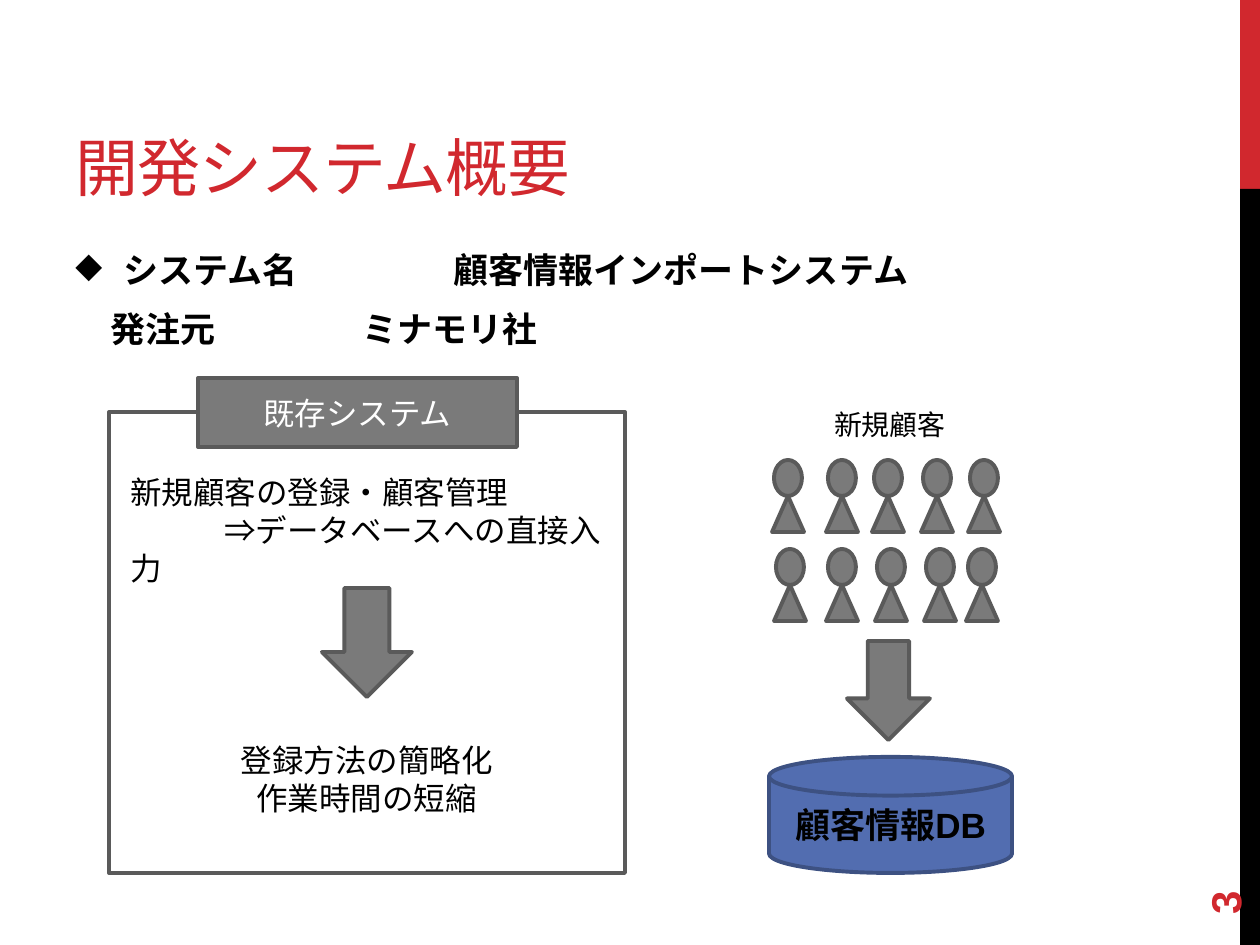
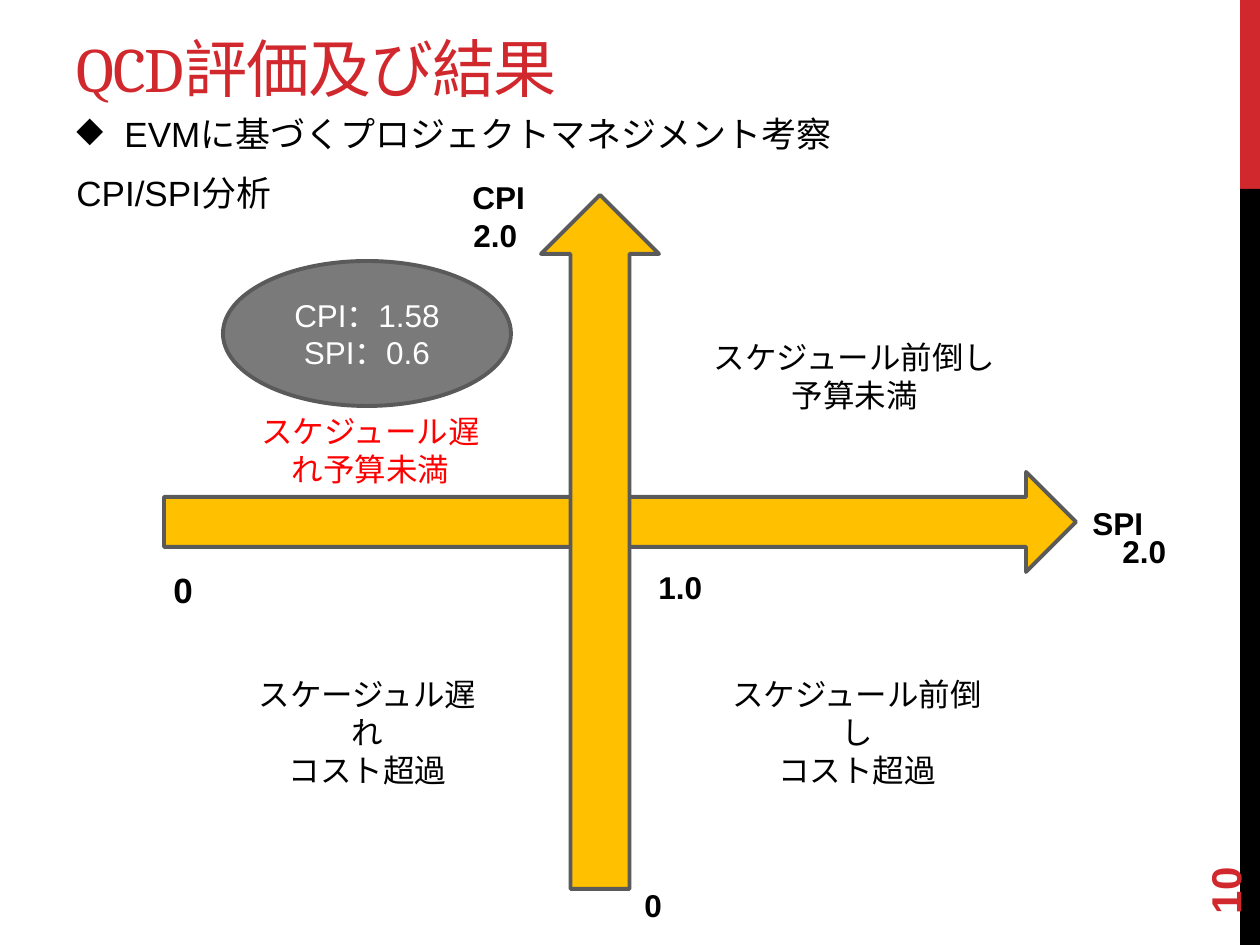
"""Builds two slides: the system overview and the QCD evaluation."""
from dataclasses import dataclass

from pptx import Presentation
from pptx.dml.color import RGBColor
from pptx.enum.shapes import MSO_SHAPE as Shape
from pptx.enum.text import MSO_ANCHOR as Anchor, MSO_AUTO_SIZE as AutoSize, PP_ALIGN as Align
from pptx.oxml.ns import qn
from pptx.util import Emu, Pt
from lxml.etree import SubElement


@dataclass(frozen=True)
class Theme:
    red: str = "D1282E"
    black: str = "000000"
    white: str = "FFFFFF"
    gray: str = "7A7A7A"
    outline: str = "5A5A5A"
    gold: str = "FFC000"
    blue: str = "526DB0"
    navy: str = "3D5182"
    alert: str = "FF0000"
    font: str = "Arial"
    title_font: str = "Montserrat"
    latin_title_font: str = "Cambria"
    title_size: int = 36
    number_size: int = 24
    lead_size: int = 20
    text_size: int = 18
    caption_size: int = 16
    line_width: float = 2.25


THEME = Theme()
PX = 914400 / 126
PAGE_WIDTH, PAGE_HEIGHT = 1260, 945
BULLET_INDENT = 48

BANDS = [((1240, 0, 20, 189), THEME.red), ((1240, 189, 20, 756), THEME.black)]
NUMBER_BOX = (1134, 811, 181, 50)

OVERVIEW = {
    "number": "3",
    "title": [("開発システム概要", THEME.title_font)],
    "title_box": (63, 21, 798, 189),
    "lead": ["システム名\t\t顧客情報インポートシステム", "発注元\t\tミナモリ社"],
    "lead_box": (63, 242, 1050, 602),
    "second_indent": 35,
    "lead_bold": True,
}
FRAME_BOX = (109, 412, 516, 461)
HEADING = ("既存システム", (198, 378, 319, 69))
CURRENT_WORK = (["新規顧客の登録・顧客管理", "⇒データベースへの直接入力"], (118, 467, 497, 90))
CURRENT_WORK_INDENT = 94
GOALS = (["登録方法の簡略化", "作業時間の短縮"], (118, 735, 497, 90))
DOWN_ARROWS = [(322, 588, 90, 109), (847, 641, 83, 99)]
CUSTOMERS = (["新規顧客"], (801, 401, 178, 46))
CUSTOMER_ROWS = {460: (774, 828, 874, 923, 970), 549: (776, 828, 877, 926, 968)}
HEAD_WIDTH, HEAD_HEIGHT, BODY_WIDTH = 28, 36, 32
DATABASE = ("顧客情報DB", (769, 757, 243, 116))

EVALUATION = {
    "number": "10",
    "title": [("QCD", THEME.latin_title_font), ("評価及び結果", THEME.title_font)],
    "title_box": (64, 16, 798, 95),
    "lead": ["EVMに基づくプロジェクトマネジメント考察", "CPI/SPI分析"],
    "lead_box": (64, 106, 1050, 139),
    "second_indent": 0,
    "lead_bold": False,
}
AXES = [(Shape.RIGHT_ARROW, (164, 472, 912, 100)), (Shape.UP_ARROW, (541, 195, 118, 694))]
QUADRANTS = [
    (["スケージュル遅れ", "コスト超過"], (234, 669, 267, 90), THEME.black),
    (["スケジュール前倒し", "コスト超過"], (704, 669, 306, 90), THEME.black),
    (["スケジュール遅れ予算未満"], (237, 406, 267, 90), THEME.alert),
    (["スケジュール前倒し", "予算未満"], (699, 332, 311, 90), THEME.black),
]
AXIS_LABELS = [
    ("0", (161, 562, 69, 52), THEME.lead_size),
    ("0", (632, 880, 43, 50), THEME.text_size),
    ("2.0", (1110, 526, 69, 50), THEME.text_size),
    ("2.0", (461, 210, 69, 50), THEME.text_size),
    ("CPI", (460, 172, 78, 50), THEME.text_size),
    ("SPI", (1080, 498, 77, 50), THEME.text_size),
    ("1.0", (646, 562, 69, 50), THEME.text_size),
]
RESULT = (["CPI：1.58", "SPI：0.6"], (223, 261, 288, 145))


def px(length):
    return Emu(round(length * PX))


def place(box):
    return [px(length) for length in box]


def style(para, size, color, bold=False, align=Align.LEFT, name=THEME.font):
    para.alignment = align
    font = para.font
    font.size, font.bold = Pt(size), bold
    font.color.rgb = RGBColor.from_string(color)
    if name:
        font.name = name


def indent(para, margin, first):
    properties = para._p.get_or_add_pPr()
    properties.set("marL", str(px(margin)))
    properties.set("indent", str(px(first)))
    return properties


def write(shape, lines, size=THEME.text_size, color=THEME.black, bold=False,
          align=Align.CENTER, anchor=Anchor.MIDDLE, wrap=True):
    frame = shape.text_frame
    frame.word_wrap, frame.vertical_anchor = wrap, anchor
    for index, line in enumerate(lines):
        para = frame.add_paragraph() if index else frame.paragraphs[0]
        para.add_run().text = line
        style(para, size, color, bold, align)
    return frame.paragraphs


def add_text(slide, lines, box, anchor=Anchor.TOP, **options):
    return write(slide.shapes.add_textbox(*place(box)), lines, anchor=anchor, **options)


def add_figure(slide, kind, box, fill=THEME.gray, line=THEME.outline):
    shape = slide.shapes.add_shape(kind, *place(box))
    shape.shadow.inherit = False
    if fill:
        shape.fill.solid()
        shape.fill.fore_color.rgb = RGBColor.from_string(fill)
    else:
        shape.fill.background()
    if line:
        shape.line.color.rgb = RGBColor.from_string(line)
        shape.line.width = Pt(THEME.line_width)
    else:
        shape.line.fill.background()
    return shape


def add_title(slide, spans, box):
    title = slide.shapes.title
    title.left, title.top, title.width, title.height = place(box)
    frame = title.text_frame
    frame.auto_size, frame.vertical_anchor = AutoSize.NONE, Anchor.BOTTOM
    para = frame.paragraphs[0]
    shared = spans[0][1] if len(spans) == 1 else None
    style(para, THEME.title_size, THEME.red, name=shared)
    para._p.pPr.find(qn("a:defRPr")).set("spc", "-60")
    for text, name in spans:
        span = para.add_run()
        span.text = text
        if not shared:
            span.font.name = name


def add_lead(slide, content):
    first, second = add_text(slide, content["lead"], content["lead_box"], size=THEME.lead_size,
                             bold=content["lead_bold"], align=Align.LEFT)
    for para in (first, second):
        para.space_before, para.space_after = Pt(4), Pt(6)
        para._p.pPr.set("defTabSz", "914400")
    properties = indent(first, BULLET_INDENT, -BULLET_INDENT)
    bullet = SubElement(properties, qn("a:buChar"), char="◆")
    properties.find(qn("a:defRPr")).addprevious(bullet)
    indent(second, content["second_indent"], 0)


def add_page(deck, content):
    slide = deck.slides.add_slide(deck.slide_layouts[5])
    for box, color in BANDS:
        add_figure(slide, Shape.RECTANGLE, box, color, None)
    add_title(slide, content["title"], content["title_box"])
    add_lead(slide, content)
    number = slide.shapes.add_textbox(*place(NUMBER_BOX))
    number.rotation = 270
    write(number, [content["number"]], THEME.number_size, THEME.red, True, Align.LEFT)
    return slide


def add_customer(slide, left, top):
    body_left = left - (BODY_WIDTH - HEAD_WIDTH) // 2
    add_figure(slide, Shape.OVAL, (left, top, HEAD_WIDTH, HEAD_HEIGHT))
    add_figure(slide, Shape.ISOSCELES_TRIANGLE,
               (body_left, top + HEAD_HEIGHT, BODY_WIDTH, HEAD_HEIGHT))


def build_overview(deck):
    slide = add_page(deck, OVERVIEW)
    add_figure(slide, Shape.RECTANGLE, FRAME_BOX, None)
    heading, heading_box = HEADING
    write(add_figure(slide, Shape.RECTANGLE, heading_box), [heading], color=THEME.white)
    work = add_text(slide, *CURRENT_WORK, align=Align.LEFT)
    indent(work[1], 0, CURRENT_WORK_INDENT)
    add_text(slide, *GOALS)
    for box in DOWN_ARROWS:
        add_figure(slide, Shape.DOWN_ARROW, box)
    add_text(slide, *CUSTOMERS, size=THEME.caption_size)
    for top, lefts in CUSTOMER_ROWS.items():
        for left in lefts:
            add_customer(slide, left, top)
    database, database_box = DATABASE
    disk = add_figure(slide, Shape.FLOWCHART_MAGNETIC_DISK, database_box, THEME.blue, THEME.navy)
    write(disk, [database], THEME.lead_size, bold=True)


def build_evaluation(deck):
    slide = add_page(deck, EVALUATION)
    for kind, box in AXES:
        add_figure(slide, kind, box, THEME.gold)
    for lines, box, color in QUADRANTS:
        add_text(slide, lines, box, color=color)
    for label, box, size in AXIS_LABELS:
        add_text(slide, [label], box, size=size, bold=True, align=Align.LEFT, wrap=False)
    lines, box = RESULT
    write(add_figure(slide, Shape.OVAL, box), lines, color=THEME.white)


def main():
    deck = Presentation()
    deck.slide_width, deck.slide_height = px(PAGE_WIDTH), px(PAGE_HEIGHT)
    build_overview(deck)
    build_evaluation(deck)
    deck.save("out.pptx")


if __name__ == "__main__":
    main()
